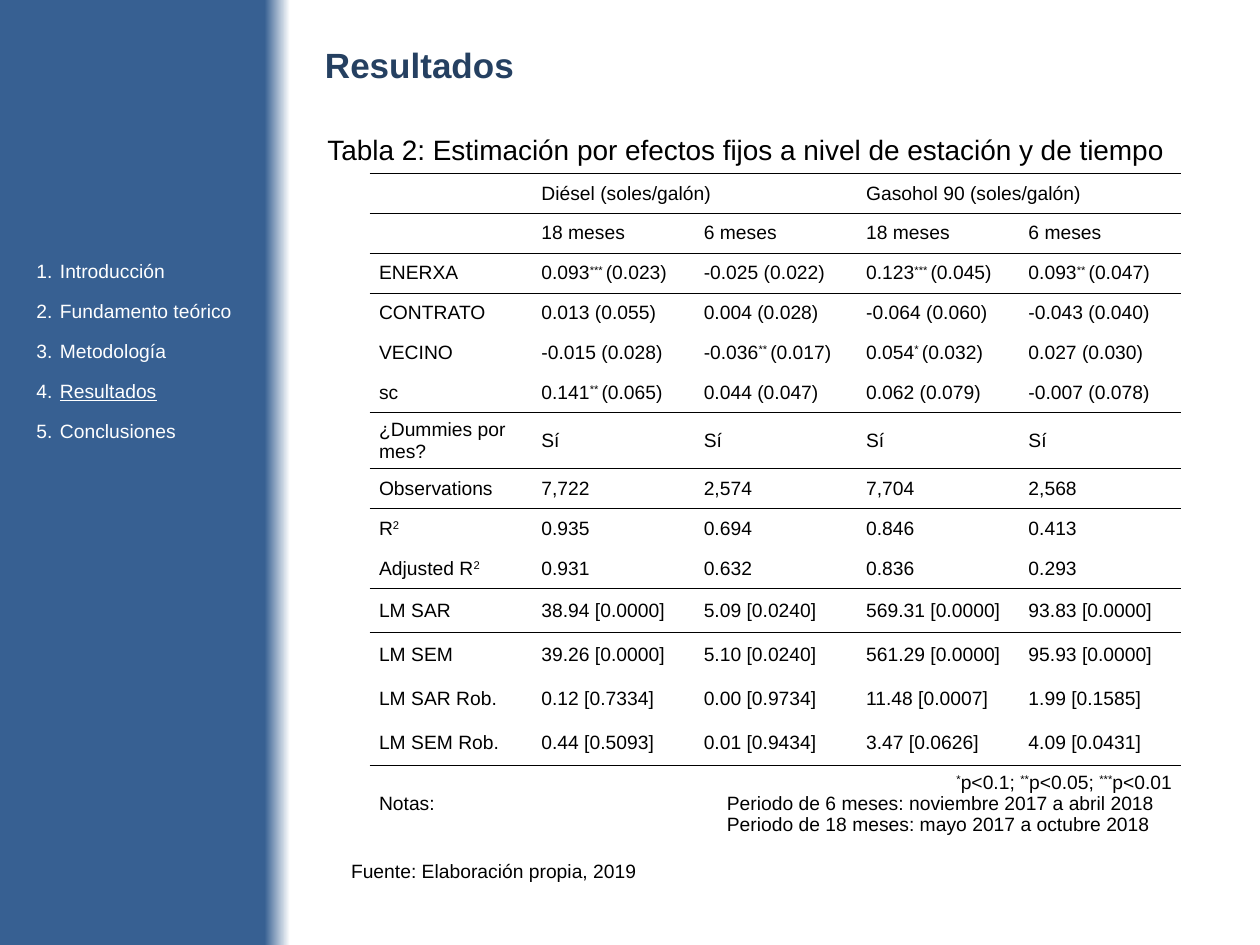
from dataclasses import dataclass

from lxml.etree import SubElement
from pptx import Presentation
from pptx.dml.color import RGBColor as Color
from pptx.enum.text import MSO_ANCHOR as Anchor, MSO_AUTO_SIZE as AutoSize, PP_ALIGN as Align
from pptx.oxml import parse_xml as to_element
from pptx.oxml.ns import nsdecls, qn
from pptx.util import Pt

MENU = ["Introducción", "Fundamento teórico", "Metodología", "Resultados", "Conclusiones"]
ROWS = [
    [""] * 5,
    ["", "Diésel (soles/galón)", "", "Gasohol 90 (soles/galón)", ""],
    ["", "18 meses", "6 meses", "18 meses", "6 meses"],
    ["ENERXA", "0.093^*** ^(0.023)", "-0.025 (0.022)", "0.123^*** ^(0.045)", "0.093^** ^(0.047)"],
    ["CONTRATO", "0.013 (0.055)", "0.004 (0.028)", "-0.064 (0.060)", "-0.043 (0.040)"],
    ["VECINO", "-0.015 (0.028)", "-0.036^** ^(0.017)", "0.054^* ^(0.032)", "0.027 (0.030)"],
    ["sc", "0.141^** ^(0.065)", "0.044 (0.047)", "0.062 (0.079)", "-0.007 (0.078)"],
    ["¿Dummies por mes?", "Sí", "Sí", "Sí", "Sí"],
    ["Observations", "7,722", "2,574", "7,704", "2,568"],
    ["R^2", "0.935", "0.694", "0.846", "0.413"],
    ["Adjusted R^2", "0.931", "0.632", "0.836", "0.293"],
    ["LM SAR", "38.94 [0.0000]", "5.09 [0.0240]", "569.31 [0.0000]", "93.83 [0.0000]"],
    ["LM SEM", "39.26 [0.0000]", "5.10 [0.0240]", "561.29 [0.0000]", "95.93 [0.0000]"],
    ["LM SAR Rob.", "0.12 [0.7334]", "0.00 [0.9734]", "11.48 [0.0007]", "1.99 [0.1585]"],
    ["LM SEM Rob.", "0.44 [0.5093]", "0.01 [0.9434]", "3.47 [0.0626]", "4.09 [0.0431]"],
    ["Notas:", "", "", "", ""],
]
NOTES = [
    "^*^p<0.1; ^**^p<0.05; ^***^p<0.01",
    "\tPeriodo de 6 meses: noviembre 2017 a abril 2018",
    "\tPeriodo de 18 meses: mayo 2017 a octubre 2018",
]
HEIGHTS = [22.8] * 7 + [32] + [22.8] * 3 + [25.3] * 4 + [44]
RULES = {0: 0.75, 2: 0.5, 6: 0.5, 7: 0.5, 10: 0.5, 14: 0.5}
MERGES = [(0, 0, 2), (1, 1, 2), (1, 3, 4), (15, 1, 4)]


@dataclass(frozen=True)
class Theme:
    """Colours, typeface and type sizes of the deck."""

    font: str = "Arial"
    navy: str = "254061"
    blue: str = "376092"
    black: str = "000000"
    white: str = "FFFFFF"
    title: float = 20
    caption: float = 16
    body: float = 11


def add_text(paragraph, text, *, font, size, color, bold=False, underline=False, align=None):
    """Add text to a paragraph, raising the parts between carets."""
    paragraph.alignment = align
    for index, part in enumerate(text.split("^")):
        if not part:
            continue
        run = paragraph.add_run()
        run.text = part
        run.font.name, run.font.size = font, Pt(size)
        run.font.bold, run.font.underline = bold, underline
        run.font.color.rgb = Color.from_string(color)
        if index % 2:
            run.font._element.set("baseline", "30000")


class SlideBuilder:
    """Holds the theme and the slide being built."""

    def __init__(self, slide, theme):
        self.slide, self.theme = slide, theme

    def fill_in(self, paragraph, text, **options):
        """Add text in the body style unless told otherwise."""
        theme = self.theme
        style = dict(font=theme.font, size=theme.body, color=theme.black)
        add_text(paragraph, text, **{**style, **options})

    def background(self):
        """Fade the blue side band into white."""
        fill = self.slide.background.fill
        fill.gradient()
        fill.gradient_angle = 0
        stops = [(0.21, self.theme.blue), (0.23, self.theme.white)]
        for stop, (position, color) in zip(fill.gradient_stops, stops):
            stop.position = position
            stop.color.rgb = Color.from_string(color)

    def title(self, text, left, top, width, height):
        """Place and format the title placeholder."""
        shape = self.slide.shapes.title
        shape.left, shape.top, shape.width, shape.height = map(Pt, (left, top, width, height))
        shape.text_frame.vertical_anchor = Anchor.MIDDLE
        self.fill_in(shape.text_frame.paragraphs[0], text, size=self.theme.title,
                     color=self.theme.navy, bold=True, align=Align.LEFT)

    def text(self, text, left, top, width, height, wrap=True, **options):
        """Add one line of text in a box."""
        frame = self.slide.shapes.add_textbox(*map(Pt, (left, top, width, height))).text_frame
        frame.word_wrap = wrap
        frame.auto_size = AutoSize.SHAPE_TO_FIT_TEXT
        self.fill_in(frame.paragraphs[0], text, **options)

    def menu(self, items, current, left, top, width, height):
        """Add the numbered section list with the current one underlined."""
        frame = self.slide.shapes.add_textbox(*map(Pt, (left, top, width, height))).text_frame
        frame.word_wrap = True
        for index, item in enumerate(items):
            paragraph = frame.add_paragraph() if index else frame.paragraphs[0]
            self.fill_in(paragraph, item, color=self.theme.white, underline=item == current)
            paragraph.line_spacing = 1.5
            paragraph.space_before = Pt(3)
            properties = paragraph._p.get_or_add_pPr()
            properties.set("marL", str(Pt(13.5)))
            properties.set("indent", str(Pt(-13.5)))
            SubElement(properties, qn("a:buFont"), typeface="+mj-lt")
            SubElement(properties, qn("a:buAutoNum"), type="arabicPeriod")

    def rule(self, cell, side, width):
        """Draw one horizontal cell border."""
        cell._tc.get_or_add_tcPr().insert(0, to_element(
            f'<a:{side} {nsdecls("a")} w="{Pt(width)}"><a:solidFill>'
            f'<a:srgbClr val="{self.theme.black}"/></a:solidFill></a:{side}>'))

    def table(self, rows, notes, left, top, width):
        """Add the regression table with its rules and notes."""
        shape = self.slide.shapes.add_table(
            len(rows), len(rows[0]), Pt(left), Pt(top), Pt(width), Pt(sum(HEIGHTS)))
        table = shape.table
        table.first_row = table.horz_banding = False
        style = table._tbl.tblPr.find(qn("a:tableStyleId"))
        style.text = "{2D5ABB26-0587-4C30-8999-92F81FD0307C}"
        for row, height in zip(table.rows, HEIGHTS):
            row.height = Pt(height)
        for column in table.columns:
            column.width = Pt(width / len(rows[0]))
        for row, texts in enumerate(rows):
            for column, text in enumerate(texts):
                cell = table.cell(row, column)
                cell.vertical_anchor = Anchor.MIDDLE
                cell.margin_left = cell.margin_right = Pt(5.4)
                cell.margin_top = cell.margin_bottom = Pt(2.7)
                cell.fill.background()
                paragraph = cell.text_frame.paragraphs[0]
                self.fill_in(paragraph, text)
                paragraph._p.get_or_add_endParaRPr().set("sz", str(int(self.theme.body * 100)))
                if row in RULES:
                    self.rule(cell, "lnB", RULES[row])
                if row - 1 in RULES:
                    self.rule(cell, "lnT", RULES[row - 1])
        for row, first, last in MERGES:
            table.cell(row, first).merge(table.cell(row, last))
        self.notes(table.cell(len(rows) - 1, 1).text_frame, notes)

    def notes(self, frame, notes):
        """Fill in the significance key and the tabbed periods."""
        self.fill_in(frame.paragraphs[0], notes[0], align=Align.RIGHT)
        for note in notes[1:]:
            paragraph = frame.add_paragraph()
            self.fill_in(paragraph, note, align=Align.LEFT)
            tabs = SubElement(paragraph._p.get_or_add_pPr(), qn("a:tabLst"))
            SubElement(tabs, qn("a:tab"), pos=str(Pt(106)), algn="l")


def main():
    """Build the results slide."""
    presentation = Presentation()
    presentation.slide_width, presentation.slide_height = Pt(720), Pt(540)
    theme = Theme()
    builder = SlideBuilder(presentation.slides.add_slide(presentation.slide_layouts[5]), theme)
    builder.background()
    builder.title("Resultados", 178.5, 21, 430.5, 32)
    builder.table(ROWS, NOTES, 211.2, 76.3, 464)
    builder.menu(MENU, "Resultados", 13.7, 138, 127, 369)
    builder.text("Tabla 2: Estimación por efectos fijos a nivel de estación y de tiempo",
                 180, 72, 498, 26.6, size=theme.caption, align=Align.JUSTIFY)
    builder.text("Fuente: Elaboración propia, 2019", 193.5, 487.5, 178.5, 21, wrap=False)
    presentation.save("out.pptx")


if __name__ == "__main__":
    main()
